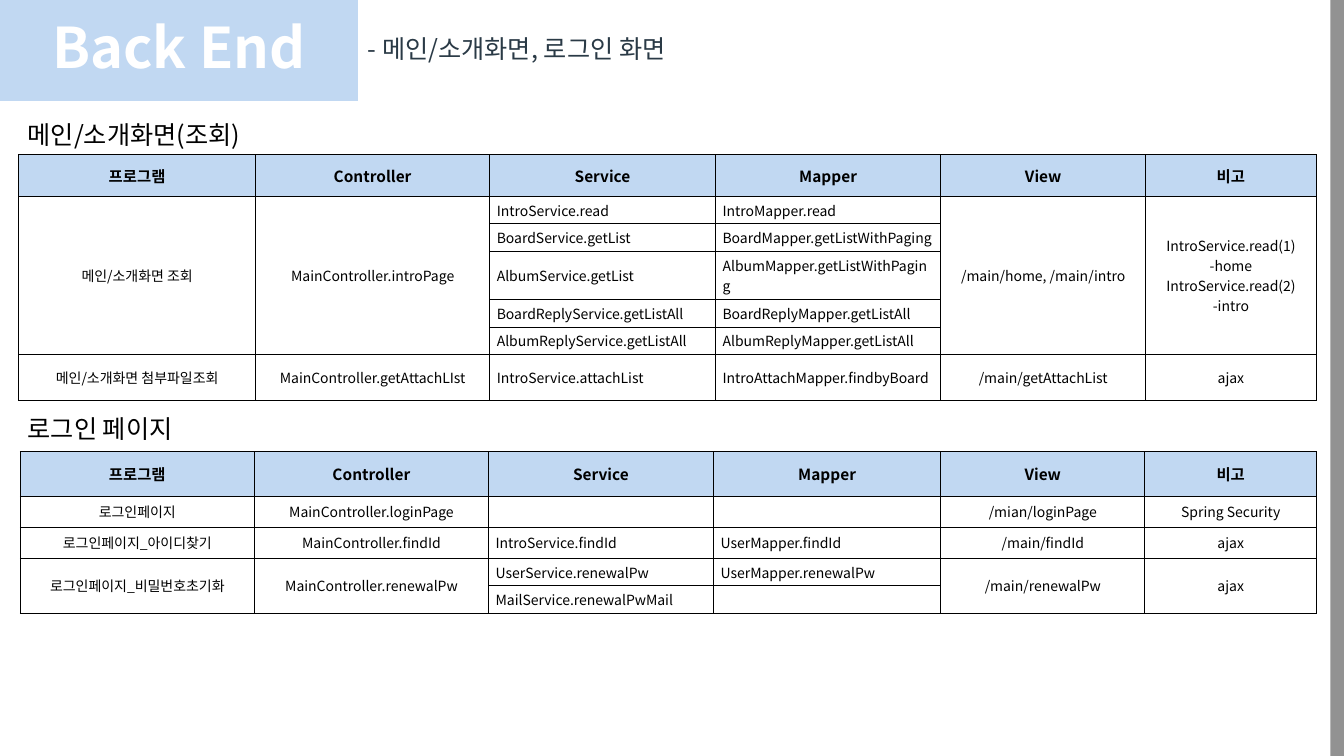
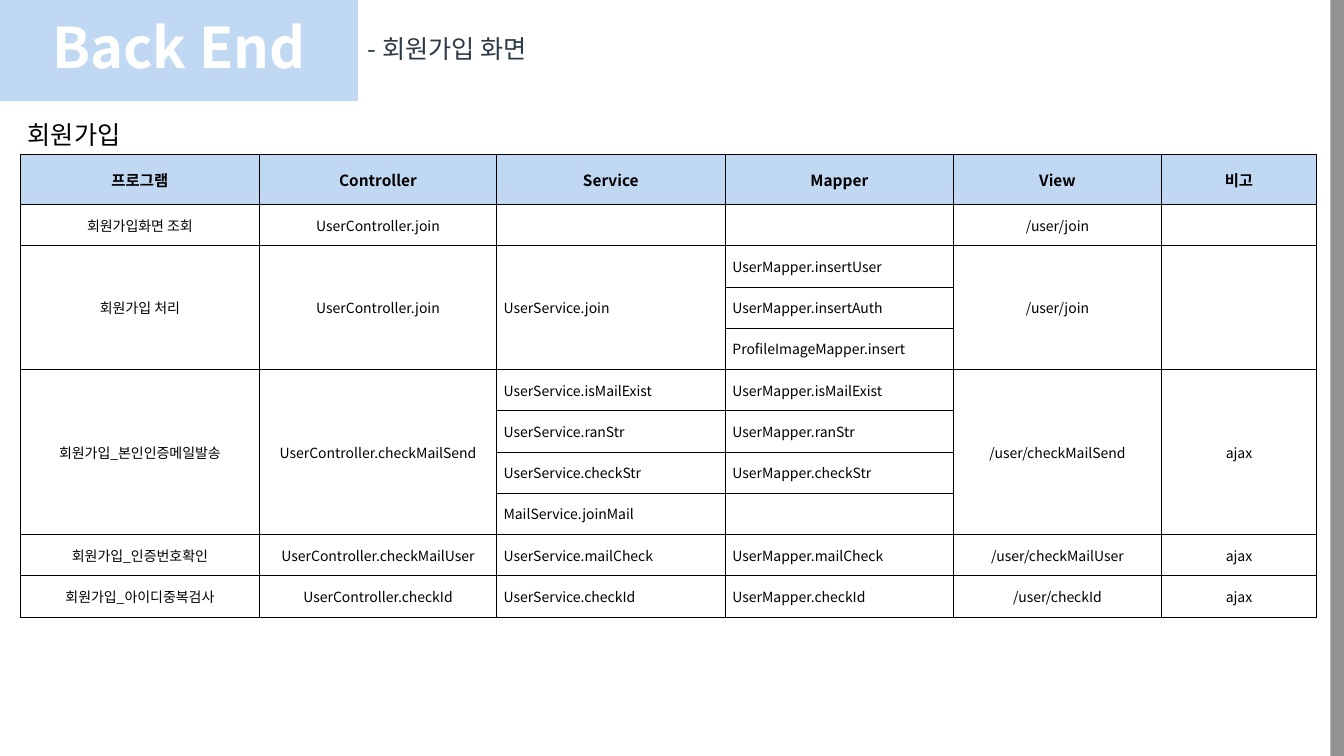
from dataclasses import dataclass

from lxml.etree import SubElement
from pptx import Presentation
from pptx.dml.color import RGBColor
from pptx.enum.shapes import MSO_SHAPE as Preset
from pptx.enum.text import MSO_ANCHOR as Anchor, MSO_AUTO_SIZE as AutoSize, PP_ALIGN as Align
from pptx.oxml import parse_xml
from pptx.oxml.ns import nsdecls, qn
from pptx.util import Cm, Pt


@dataclass(frozen=True)
class Theme:
    font: str = "Noto Sans CJK KR"
    band: RGBColor = RGBColor(0xC1, 0xD8, 0xF2)
    edge: RGBColor = RGBColor(0x92, 0x92, 0x92)
    subtitle: RGBColor = RGBColor(0x2A, 0x3A, 0x46)
    black: RGBColor = RGBColor(0, 0, 0)
    white: RGBColor = RGBColor(0xFF, 0xFF, 0xFF)
    title_size: int = 40
    heading_size: int = 18
    header_size: int = 11
    cell_size: int = 10
    border: float = 0.56


THEME = Theme()
SLIDE_W, SLIDE_H = 33.87, 19.05
BAND_W, BAND_H, EDGE_W = 9.02, 2.54, 0.34
ONE_LINE, TWO_LINES = 0.69, 1.22  # row heights that hold the cell text

HEADER = ["프로그램", "Controller", "Service", "Mapper", "View", "비고"]
LEFT_ALIGNED = {HEADER.index("Service"), HEADER.index("Mapper")}

# In the rows below, None continues the cell above it.
INTRO_ROWS = [
    ["메인/소개화면 조회", "MainController.introPage", "IntroService.read", "IntroMapper.read",
     "/main/home, /main/intro", "IntroService.read(1)\n-home\nIntroService.read(2)\n-intro"],
    [None, None, "BoardService.getList", "BoardMapper.getListWithPaging", None, None],
    [None, None, "AlbumService.getList", "AlbumMapper.getListWithPaging", None, None],
    [None, None, "BoardReplyService.getListAll", "BoardReplyMapper.getListAll", None, None],
    [None, None, "AlbumReplyService.getListAll", "AlbumReplyMapper.getListAll", None, None],
    ["메인/소개화면 첨부파일조회", "MainController.getAttachLIst", "IntroService.attachList",
     "IntroAttachMapper.findbyBoard", "/main/getAttachList", "ajax"],
]
LOGIN_ROWS = [
    ["로그인페이지", "MainController.loginPage", "", "", "/mian/loginPage", "Spring Security"],
    ["로그인페이지_아이디찾기", "MainController.findId", "IntroService.findId",
     "UserMapper.findId", "/main/findId", "ajax"],
    ["로그인페이지_비밀번호초기화", "MainController.renewalPw", "UserService.renewalPw",
     "UserMapper.renewalPw", "/main/renewalPw", "ajax"],
    [None, None, "MailService.renewalPwMail", "", None, None],
]
JOIN_ROWS = [
    ["회원가입화면 조회", "UserController.join", "", "", "/user/join", ""],
    ["회원가입 처리", "UserController.join", "UserService.join", "UserMapper.insertUser",
     "/user/join", ""],
    [None, None, None, "UserMapper.insertAuth", None, None],
    [None, None, None, "ProfileImageMapper.insert", None, None],
    ["회원가입_본인인증메일발송", "UserController.checkMailSend", "UserService.isMailExist",
     "UserMapper.isMailExist", "/user/checkMailSend", "ajax"],
    [None, None, "UserService.ranStr", "UserMapper.ranStr", None, None],
    [None, None, "UserService.checkStr", "UserMapper.checkStr", None, None],
    [None, None, "MailService.joinMail", "", None, None],
    ["회원가입_인증번호확인", "UserController.checkMailUser", "UserService.mailCheck",
     "UserMapper.mailCheck", "/user/checkMailUser", "ajax"],
    ["회원가입_아이디중복검사", "UserController.checkId", "UserService.checkId",
     "UserMapper.checkId", "/user/checkId", "ajax"],
]


def paint(part, color):
    part.fill.solid()
    part.fill.fore_color.rgb = color


def add_run(paragraph, text, size, color, bold=False):
    run = paragraph.add_run()
    run.text = text
    run.font.size, run.font.bold = Pt(size), bold
    run.font.color.rgb = color
    run.font.name = THEME.font
    SubElement(run.font._element, qn("a:ea"), typeface=THEME.font)


def add_text(slide, text, left, top, width, height, color):
    box = slide.shapes.add_textbox(Cm(left), Cm(top), Cm(width), Cm(height))
    box.text_frame.word_wrap = True
    add_run(box.text_frame.paragraphs[0], text, THEME.heading_size, color)
    return box.text_frame


def add_section_heading(slide, text, top):
    frame = add_text(slide, text, 0.45, top, 8.59, 1.02, THEME.black)
    frame.auto_size = AutoSize.SHAPE_TO_FIT_TEXT


def add_page(prs, subtitle):
    """Add a slide with the title band, its subtitle and the right edge."""
    slide = prs.slides.add_slide(prs.slide_layouts[5])
    title = slide.shapes.title
    title.left, title.top, title.width, title.height = Cm(0), Cm(0), Cm(BAND_W), Cm(BAND_H)
    paint(title, THEME.band)
    title.text_frame.vertical_anchor = Anchor.MIDDLE
    title.text_frame.auto_size = AutoSize.NONE
    heading = title.text_frame.paragraphs[0]
    heading.alignment, heading.line_spacing = Align.CENTER, 0.9
    add_run(heading, "Back End", THEME.title_size, THEME.white, bold=True)

    edge_left = SLIDE_W - EDGE_W
    edge = slide.shapes.add_shape(Preset.RECTANGLE, Cm(edge_left), Cm(0), Cm(EDGE_W), Cm(SLIDE_H))
    edge.shadow.inherit = False
    paint(edge, THEME.edge)
    edge.line.fill.background()

    frame = add_text(slide, subtitle, BAND_W, 0, edge_left - BAND_W, BAND_H, THEME.subtitle)
    frame.vertical_anchor = Anchor.MIDDLE
    frame.paragraphs[0].line_spacing = 0.9
    return slide


def set_borders(cell):
    properties = cell._tc.get_or_add_tcPr()
    for position, side in enumerate(("lnL", "lnR", "lnT", "lnB")):
        properties.insert(position, parse_xml(
            f'<a:{side} {nsdecls("a")} w="{Pt(THEME.border)}"><a:solidFill>'
            f'<a:srgbClr val="{THEME.black}"/></a:solidFill></a:{side}>'))


def fill_cell(cell, text, is_header, alignment):
    cell.margin_left = cell.margin_right = Cm(0.18)
    cell.margin_top = cell.margin_bottom = Cm(0.1)
    cell.vertical_anchor = Anchor.MIDDLE
    paint(cell, THEME.band if is_header else THEME.white)
    set_borders(cell)
    size = THEME.header_size if is_header else THEME.cell_size
    frame = cell.text_frame
    for index, line in enumerate((text or "").split("\n")):
        paragraph = frame.add_paragraph() if index else frame.paragraphs[0]
        paragraph.alignment = alignment
        if line:
            add_run(paragraph, line, size, THEME.black, bold=is_header)
        else:  # keeps an empty cell from stretching its row
            SubElement(paragraph._p, qn("a:endParaRPr"), sz=str(size * 100))


def add_program_table(slide, left, top, widths, heights, body):
    rows = [HEADER, *body]
    table = slide.shapes.add_table(len(rows), len(HEADER), Cm(left), Cm(top),
                                   Cm(sum(widths)), Cm(sum(heights))).table
    table.first_row = table.horz_banding = False
    for column, width in zip(table.columns, widths):
        column.width = Cm(width)
    for row, height in zip(table.rows, heights):
        row.height = Cm(height)
    for r, row in enumerate(rows):
        for c, text in enumerate(row):
            is_header = r == 0
            left_aligned = c in LEFT_ALIGNED and not is_header
            fill_cell(table.cell(r, c), text, is_header,
                      Align.LEFT if left_aligned else Align.CENTER)
    for c in range(len(HEADER)):
        starts = [r for r, row in enumerate(rows) if row[c] is not None]
        for start, following in zip(starts, starts[1:] + [len(rows)]):
            if following - start > 1:
                table.cell(start, c).merge(table.cell(following - 1, c))


def main():
    prs = Presentation()
    prs.slide_width, prs.slide_height = Cm(SLIDE_W), Cm(SLIDE_H)

    intro = add_page(prs, "- 메인/소개화면, 로그인 화면")
    add_section_heading(intro, "메인/소개화면(조회)", 2.87)
    add_program_table(intro, 0.47, 3.9, [5.97, 5.9, 5.69, 5.68, 5.16, 4.3],
                      [1.05, ONE_LINE, ONE_LINE, TWO_LINES, ONE_LINE, ONE_LINE, 1.17],
                      INTRO_ROWS)
    add_section_heading(intro, "로그인 페이지", 10.29)
    add_program_table(intro, 0.51, 11.38, [5.9, 5.9, 5.67, 5.73, 5.14, 4.33],
                      [1.13, 0.78, 0.78, ONE_LINE, ONE_LINE], LOGIN_ROWS)

    join = add_page(prs, "- 회원가입 화면")
    add_section_heading(join, "회원가입", 2.87)
    add_program_table(join, 0.51, 3.9, [6.03, 5.97, 5.77, 5.75, 5.24, 3.91],
                      [1.25] + [1.04] * len(JOIN_ROWS), JOIN_ROWS)

    prs.save("out.pptx")


if __name__ == "__main__":
    main()
